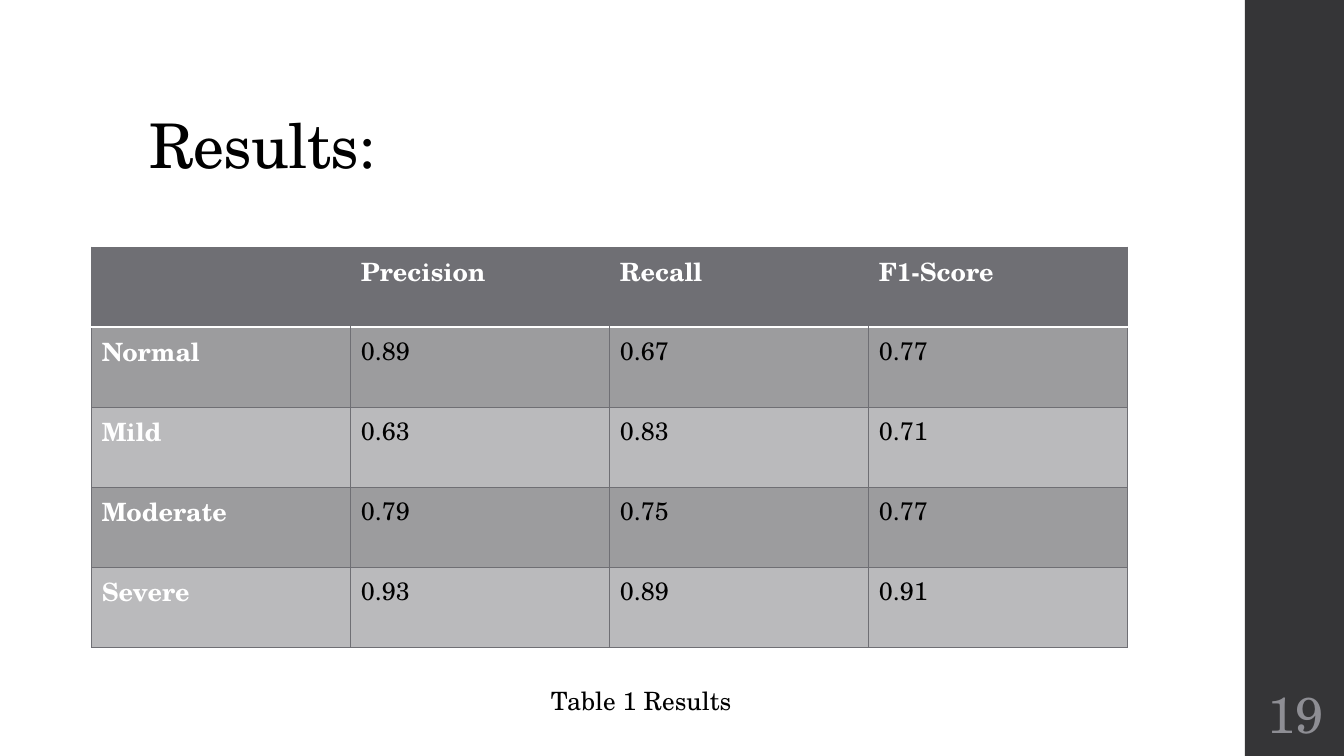
from dataclasses import dataclass

from lxml import etree
from pptx import Presentation, util as u
from pptx.dml.color import RGBColor
from pptx.enum import shapes, text
from pptx.oxml import ns


@dataclass(frozen=True)
class Theme:
    font: str = "TeX Gyre Schola"
    ink: str = "000000"
    paper: str = "FFFFFF"
    sidebar: str = "353537"
    page_number: str = "8E8E94"
    accent: str = "6F6F74"
    bands: tuple[str, str] = ("9C9C9E", "BABABC")
    title_size: float = 44
    number_size: float = 36
    body_size: float = 18
    rule: float = 0.75
    header_rule: float = 1.1


@dataclass(frozen=True)
class Area:
    """A place on a grid whose columns and rows are a tenth of an inch."""
    column: float
    row: float
    columns: float
    rows: float

    def box(self) -> list[int]:
        return [grid(n) for n in (self.column, self.row, self.columns, self.rows)]


@dataclass(frozen=True)
class Score:
    severity: str
    precision: str
    recall: str
    f1: str

    def values(self) -> tuple[str, ...]:
        return self.severity, self.precision, self.recall, self.f1


THEME = Theme()
SLIDE = Area(0, 0, 133.33, 75)
SIDEBAR = Area(123.5, 0, 9.83, 75)
TITLE = Area(13.8, 4, 106, 14.5)
TABLE = Area(9.1, 24.5, 102.8, 39.7)
CAPTION = Area(40.3, 67.5, 46.6, 7.1)
NUMBER = Area(123.5, 67.5, 10, 6.5)

HEADER = ("", "Precision", "Recall", "F1-Score")
SCORES = (
    Score("Normal", "0.89", "0.67", "0.77"),
    Score("Mild", "0.63", "0.83", "0.71"),
    Score("Moderate", "0.79", "0.75", "0.77"),
    Score("Severe", "0.93", "0.89", "0.91"),
)


def grid(units: float) -> int:
    return u.Inches(units / 10)


def rgb(colour: str) -> RGBColor:
    return RGBColor.from_string(colour)


def write(para, words: str, size: float, colour: str, bold: bool = False):
    span = para.add_run()
    span.text = words
    span.font.name = THEME.font
    span.font.size = u.Pt(size)
    span.font.bold = bold
    span.font.color.rgb = rgb(colour)
    return span


def add_sidebar(page) -> None:
    bar = page.shapes.add_shape(shapes.MSO_SHAPE.RECTANGLE, *SIDEBAR.box())
    bar.shadow.inherit = False
    bar.fill.solid()
    bar.fill.fore_color.rgb = rgb(THEME.sidebar)
    bar.line.fill.background()


def add_title(page, words: str) -> None:
    title = page.shapes.title
    title.left, title.top, title.width, title.height = TITLE.box()
    frame = title.text_frame
    frame.vertical_anchor = text.MSO_ANCHOR.BOTTOM
    para = frame.paragraphs[0]
    para.alignment = text.PP_ALIGN.LEFT
    para.line_spacing = 0.9
    span = write(para, words, THEME.title_size, THEME.ink)
    span.font._element.set("spc", "-50")


def add_label(page, area: Area, words: str, size: float, colour: str,
              anchor: text.MSO_ANCHOR) -> None:
    frame = page.shapes.add_textbox(*area.box()).text_frame
    frame.word_wrap = True
    frame.vertical_anchor = anchor
    para = frame.paragraphs[0]
    para.alignment = text.PP_ALIGN.CENTER
    write(para, words, size, colour)


def add_border(cell, side: str, colour: str | None, width: float) -> None:
    """Draw one side (L, R, T or B) of a cell, or hide it without a colour."""
    line = etree.SubElement(cell._tc.get_or_add_tcPr(), ns.qn(f"a:ln{side}"),
                            w=str(u.Pt(width)))
    if colour is None:
        etree.SubElement(line, ns.qn("a:noFill"))
    else:
        fill = etree.SubElement(line, ns.qn("a:solidFill"))
        etree.SubElement(fill, ns.qn("a:srgbClr"), val=colour)


def style_cell(cell, row: int, column: int) -> None:
    """Rule and fill a cell; the header has no inner vertical rules."""
    is_header = row == 0
    outer = {"L": column == 0, "R": column == len(HEADER) - 1}
    for side in "LR":
        shown = outer[side] or not is_header
        add_border(cell, side, THEME.accent if shown else None, THEME.rule)
    for side, header_row in (("T", 1), ("B", 0)):
        if row == header_row:
            add_border(cell, side, THEME.paper, THEME.header_rule)
        else:
            add_border(cell, side, THEME.accent, THEME.rule)
    cell.fill.solid()
    cell.fill.fore_color.rgb = rgb(
        THEME.accent if is_header else THEME.bands[(row - 1) % 2])


def add_scores(page) -> None:
    lines = [HEADER, *(score.values() for score in SCORES)]
    table = page.shapes.add_table(len(lines), len(HEADER), *TABLE.box()).table
    table.first_col = True
    for column in table.columns:
        column.width = grid(TABLE.columns / len(HEADER))
    for r, values in enumerate(lines):
        table.rows[r].height = grid(TABLE.rows / len(lines))
        for c, value in enumerate(values):
            cell = table.cell(r, c)
            style_cell(cell, r, c)
            if value:
                heading = r == 0 or c == 0
                write(cell.text_frame.paragraphs[0], value, THEME.body_size,
                      THEME.paper if heading else THEME.ink, heading)


def main() -> None:
    deck = Presentation()
    deck.slide_width, deck.slide_height = SLIDE.box()[2:]
    page = deck.slides.add_slide(deck.slide_layouts.get_by_name("Title Only"))
    add_sidebar(page)
    add_title(page, "Results:")
    add_label(page, NUMBER, "19", THEME.number_size, THEME.page_number,
              text.MSO_ANCHOR.MIDDLE)
    add_label(page, CAPTION, "Table 1 Results", THEME.body_size, THEME.ink,
              text.MSO_ANCHOR.TOP)
    add_scores(page)
    deck.save("out.pptx")


if __name__ == "__main__":
    main()
